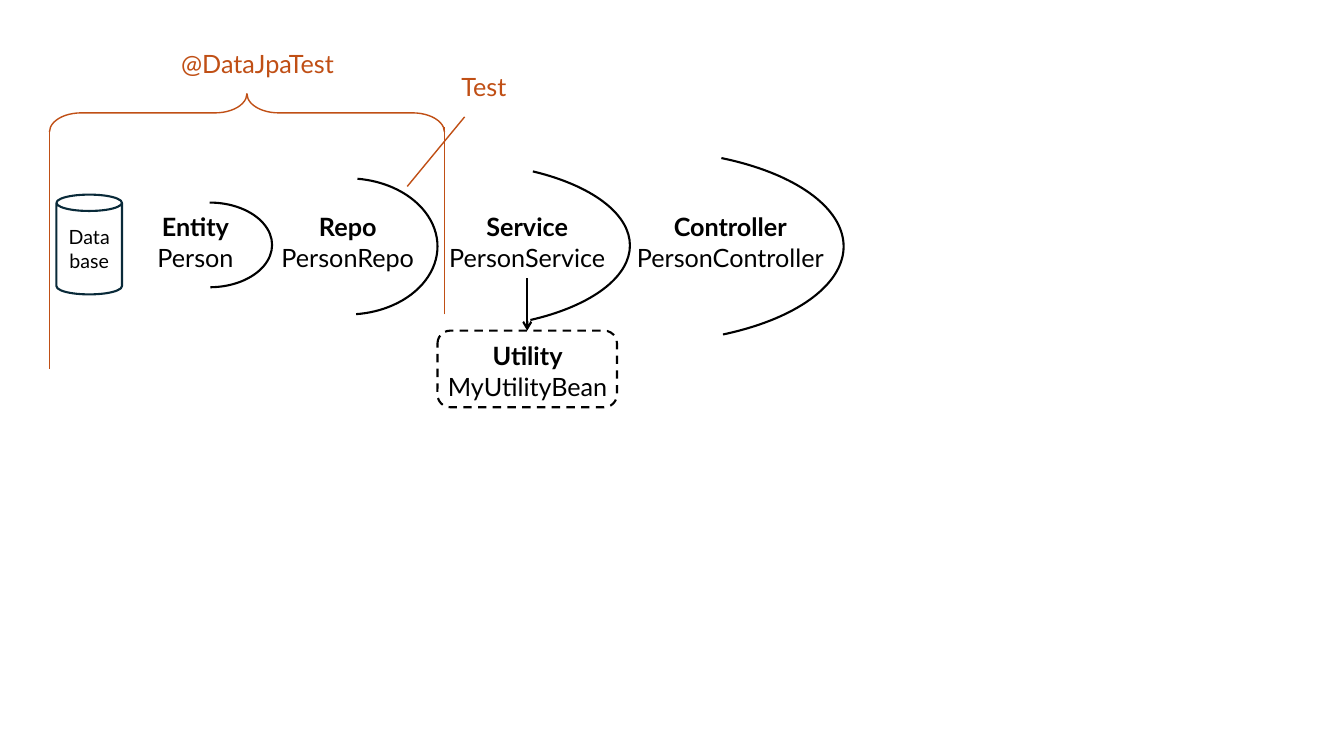
"""Build a slide showing which application layers @DataJpaTest covers."""
from lxml import etree
from pptx import Presentation
from pptx import util as u
from pptx.dml.color import RGBColor
from pptx.enum import dml, shapes, text
from pptx.oxml.ns import qn

BLACK, ORANGE, NAVY = "000000", "C04F15", "092A39"


def style_line(shape, color, width):
    """Give a shape or connector a plain coloured line without shadow."""
    shape.line.color.rgb = RGBColor.from_string(color)
    shape.line.width = u.Pt(width)
    if shape.shape_type == shapes.MSO_SHAPE_TYPE.LINE:
        etree.SubElement(shape._element.spPr, qn("a:effectLst"))
    else:
        shape.shadow.inherit = False
        shape.fill.background()


def write_text(shape, lines, size, color):
    """Write centred lines; the first of several is bold."""
    shape.text_frame.text = "\n".join(lines)
    for index, paragraph in enumerate(shape.text_frame.paragraphs):
        paragraph.alignment = text.PP_ALIGN.CENTER
        font = paragraph.runs[0].font
        font.name = "Lato"
        font.size = u.Pt(size)
        font.bold = len(lines) > 1 and index == 0
        font.color.rgb = RGBColor.from_string(color)


presentation = Presentation()
presentation.slide_width = u.Pt(960)
presentation.slide_height = u.Pt(540)
slide = presentation.slides.add_slide(presentation.slide_layouts[6])

labels = {}
for lines, left, top, width, height, color in [
    (["Entity", "Person"], 105.1, 147.6, 69.1, 51, BLACK),
    (["Repo", "PersonRepo"], 184.3, 147.6, 128.2, 51, BLACK),
    (["Service", "PersonService"], 312.5, 147.6, 128.2, 51, BLACK),
    (["Controller", "PersonController"], 441.4, 147.6, 160.6, 51, BLACK),
    (["Utility", "MyUtilityBean"], 296.6, 239.8, 160.6, 51, BLACK),
    (["@DataJpaTest"], 103.7, 31, 160.6, 29, ORANGE),
    (["Test"], 310, 47.5, 71.3, 29, ORANGE),
]:
    label = slide.shapes.add_textbox(u.Pt(left), u.Pt(top), u.Pt(width), u.Pt(height))
    label.text_frame.word_wrap = lines[0] != "Entity"
    write_text(label, lines, 18, color)
    labels[lines[0]] = label

for left, top, width, height, start, end in [
    (105.1, 144.7, 89.3, 60.5, 162, 53.43),
    (184.3, 127.4, 128.2, 97.2, 166.91, 49.8),
    (195.1, 115.9, 254.9, 118.8, 190.63, 26.04),
    (313.2, 107.3, 289.4, 137.5, 187.37, 28.23),
]:
    arc = slide.shapes.add_shape(
        shapes.MSO_SHAPE.ARC, u.Pt(left), u.Pt(top), u.Pt(width), u.Pt(height))
    arc.adjustments[0] = start
    arc.adjustments[1] = end
    style_line(arc, BLACK, 1.5)

utility_box = slide.shapes.add_shape(
    shapes.MSO_SHAPE.ROUNDED_RECTANGLE, u.Pt(312.5), u.Pt(236.2), u.Pt(128.2), u.Pt(54.7))
style_line(utility_box, BLACK, 1.5)
utility_box.line.dash_style = dml.MSO_LINE.DASH

brace = slide.shapes.add_shape(
    shapes.MSO_SHAPE.RIGHT_BRACE, u.Pt(162.7), u.Pt(-60.5), u.Pt(27.4), u.Pt(282.2))
brace.rotation = 270
brace.adjustments[0] = 0.83
style_line(brace, ORANGE, 1)

database = slide.shapes.add_shape(
    shapes.MSO_SHAPE.CAN, u.Pt(40.3), u.Pt(139), u.Pt(46.8), u.Pt(71.3))
style_line(database, NAVY, 1.5)
write_text(database, ["Database"], 14, BLACK)

arrow = slide.shapes.add_connector(
    shapes.MSO_CONNECTOR.STRAIGHT, u.Pt(376.6), u.Pt(198.6), u.Pt(376.6), u.Pt(236.2))
arrow.begin_connect(labels["Service"], 2)
arrow.end_connect(utility_box, 0)
style_line(arrow, BLACK, 1.5)
etree.SubElement(arrow.line._get_or_add_ln(), qn("a:tailEnd"), type="arrow")

for x1, y1, x2, y2 in [
    (331.9, 83.5, 290.9, 133.2),
    (35.3, 263.5, 35.3, 94.3),
    (317.5, 224.6, 317.5, 90.7),
]:
    line = slide.shapes.add_connector(
        shapes.MSO_CONNECTOR.STRAIGHT, u.Pt(x1), u.Pt(y1), u.Pt(x2), u.Pt(y2))
    style_line(line, ORANGE, 1)

presentation.save("out.pptx")
